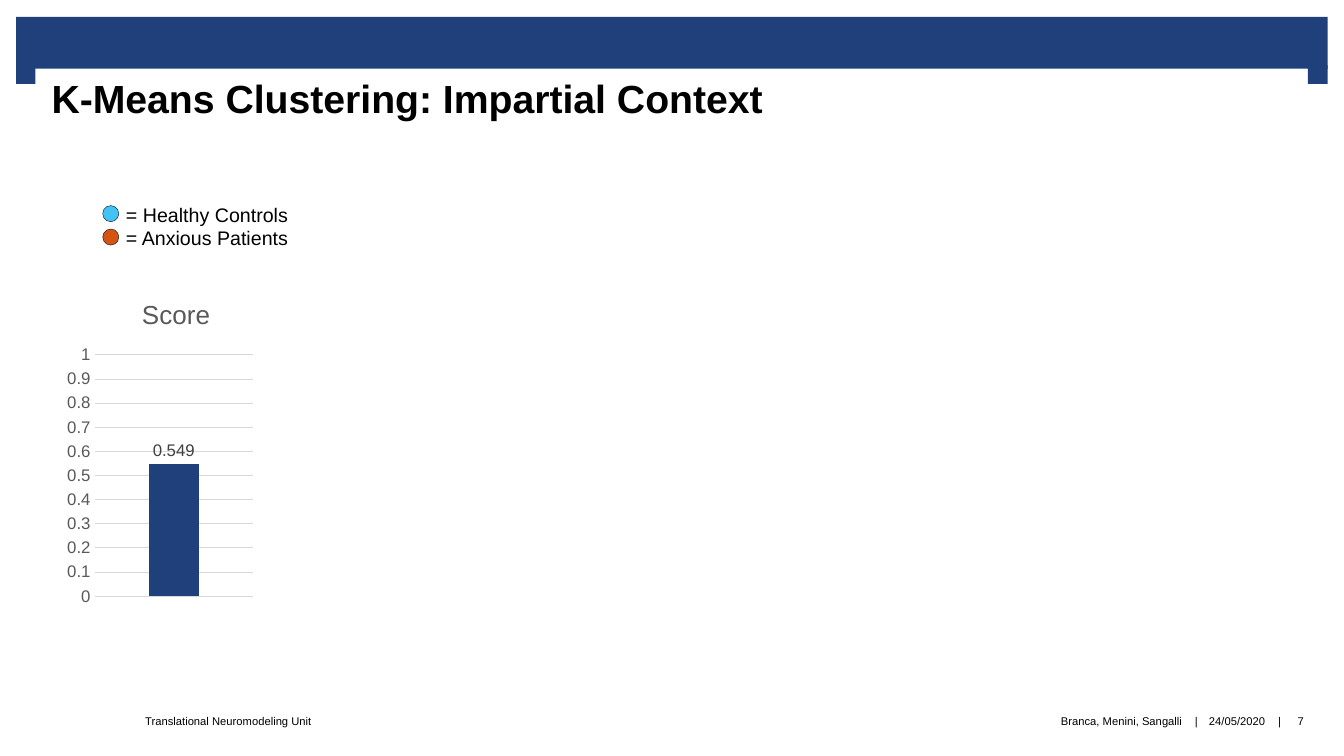
import pptx
import pptx.chart.data
import pptx.dml.color
import pptx.enum.chart
import pptx.enum.shapes
import pptx.enum.text
import pptx.oxml
import pptx.oxml.ns
import pptx.util
from dataclasses import dataclass

Pt = pptx.util.Pt
RGB = pptx.dml.color.RGBColor.from_string
SHAPE = pptx.enum.shapes.MSO_SHAPE
ALIGN = pptx.enum.text.PP_ALIGN
ANCHOR = pptx.enum.text.MSO_ANCHOR


@dataclass(frozen=True)
class Theme:
    font: str = "Arial"
    navy: str = "1F407A"
    black: str = "000000"
    white: str = "FFFFFF"
    healthy: str = "42C2F5"
    anxious: str = "D35413"
    axis_text: str = "595959"
    label_text: str = "404040"
    grid: str = "D9D9D9"
    title_size: float = 28
    legend_size: float = 14
    chart_title_size: float = 18.6
    chart_size: float = 12
    footer_size: float = 8


theme = Theme()
deck = pptx.Presentation()
deck.slide_width, deck.slide_height = Pt(960), Pt(540)
slide = deck.slides.add_slide(deck.slide_layouts[6])


def add_filled(kind, left, top, width, height, color):
    shape = slide.shapes.add_shape(kind, Pt(left), Pt(top), Pt(width), Pt(height))
    shape.shadow.inherit = False
    shape.fill.solid()
    shape.fill.fore_color.rgb = RGB(color)
    shape.line.fill.background()
    return shape


def write(frame, lines, size, align=ALIGN.LEFT, anchor=ANCHOR.TOP, bold=False, margins=(0, 0, 0, 0)):
    frame.word_wrap = True
    frame.vertical_anchor = anchor
    frame.margin_left, frame.margin_top, frame.margin_right, frame.margin_bottom = map(Pt, margins)
    for number, line in enumerate(lines):
        paragraph = frame.paragraphs[0] if number == 0 else frame.add_paragraph()
        paragraph.text = line
        paragraph.alignment = align
        paragraph.font.name = theme.font
        paragraph.font.size = Pt(size)
        paragraph.font.bold = bold
        paragraph.font.color.rgb = RGB(theme.black)


# Header band with its two end tabs
for left, top, width, height in [
    (11.5, 12, 936.8, 37.4),
    (11.5, 46.8, 14.2, 13.2),
    (934.1, 46.8, 14.2, 13.2),
]:
    add_filled(SHAPE.RECTANGLE, left, top, width, height, theme.navy)

# Footer
for text, left, width, align in [
    ("Translational Neuromodeling Unit", 103.7, 180, ALIGN.LEFT),
    ("Branca, Menini, Sangalli", 479.5, 365, ALIGN.RIGHT),
    ("|", 849, 11, ALIGN.CENTER),
    ("24/05/2020", 857.7, 52, ALIGN.CENTER),
    ("|", 908.5, 11, ALIGN.CENTER),
    ("7", 915.2, 28, ALIGN.CENTER),
]:
    footer = slide.shapes.add_textbox(Pt(left), Pt(496.8), Pt(width), Pt(36.4))
    write(footer.text_frame, [text], theme.footer_size, align, ANCHOR.MIDDLE)

heading = add_filled(SHAPE.RECTANGLE, 25.3, 49, 908.8, 76.3, theme.white)
write(heading.text_frame, ["K-Means Clustering: Impartial Context"], theme.title_size,
      bold=True, margins=(11.5, 4.3, 11.5, 0))

# Score chart
score_data = pptx.chart.data.CategoryChartData()
score_data.categories = ["1"]
score_data.add_series("Series 1", [0.549])
score = slide.shapes.add_chart(
    pptx.enum.chart.XL_CHART_TYPE.COLUMN_CLUSTERED,
    Pt(45.4), Pt(201.6), Pt(138.2), Pt(236.2), score_data).chart
score.has_legend = False
score.font.name = theme.font
score.font.size = Pt(theme.chart_size)

score.has_title = True
score_title = score.chart_title.text_frame.paragraphs[0]
score_title.text = "Score"
score_title.font.name = theme.font
score_title.font.size = Pt(theme.chart_title_size)
score_title.font.bold = False
score_title.font.color.rgb = RGB(theme.axis_text)

score.category_axis.visible = False
value_axis = score.value_axis
value_axis.minimum_scale, value_axis.maximum_scale, value_axis.major_unit = 0, 1, 0.1
value_axis.major_tick_mark = pptx.enum.chart.XL_TICK_MARK.NONE
value_axis.format.line.fill.background()
value_axis.major_gridlines.format.line.color.rgb = RGB(theme.grid)
value_axis.major_gridlines.format.line.width = Pt(0.75)
value_axis.tick_labels.font.name = theme.font
value_axis.tick_labels.font.size = Pt(theme.chart_size)
value_axis.tick_labels.font.color.rgb = RGB(theme.axis_text)

bars = score.plots[0]
bars.vary_by_categories = False
bars.gap_width, bars.overlap = 219, -27
bars.series[0].format.fill.solid()
bars.series[0].format.fill.fore_color.rgb = RGB(theme.navy)
bars.has_data_labels = True
bars.data_labels.show_value = True
bars.data_labels.position = pptx.enum.chart.XL_LABEL_POSITION.OUTSIDE_END
bars.data_labels.font.name = theme.font
bars.data_labels.font.size = Pt(theme.chart_size)
bars.data_labels.font.color.rgb = RGB(theme.label_text)

# Fixed places of the chart title and plot area, as fractions of the chart
for tag, target, places in [
    ("c:title", "", {"x": 0.38, "y": 0.03}),
    ("c:plotArea", '<c:layoutTarget val="inner"/>', {"x": 0.16, "y": 0.22, "w": 0.82, "h": 0.73}),
]:
    part = score.element.find(".//" + pptx.oxml.ns.qn(tag))
    for automatic in part.findall(pptx.oxml.ns.qn("c:layout")):
        part.remove(automatic)
    modes = "".join(f'<c:{key}Mode val="edge"/>' for key in "xy")
    values = "".join(f'<c:{key} val="{value}"/>' for key, value in places.items())
    layout = pptx.oxml.parse_xml(
        f'<c:layout {pptx.oxml.ns.nsdecls("c")}><c:manualLayout>'
        f'{target}{modes}{values}</c:manualLayout></c:layout>')
    part.insert(1 if tag == "c:title" else 0, layout)

# Group legend
groups = [("= Healthy Controls", theme.healthy), ("= Anxious Patients", theme.anxious)]
legend = slide.shapes.add_textbox(Pt(90), Pt(141.1), Pt(125), Pt(41))
write(legend.text_frame, [label for label, color in groups], theme.legend_size, margins=(0, 3.6, 0, 3.6))
for row, (label, color) in enumerate(groups):
    dot = add_filled(SHAPE.FLOWCHART_CONNECTOR, 73.4, 146.9 + 16.7 * row, 11.5, 11.5, color)
    dot.line.color.rgb = RGB(theme.black)
    dot.line.width = Pt(0.25)

deck.save("out.pptx")
